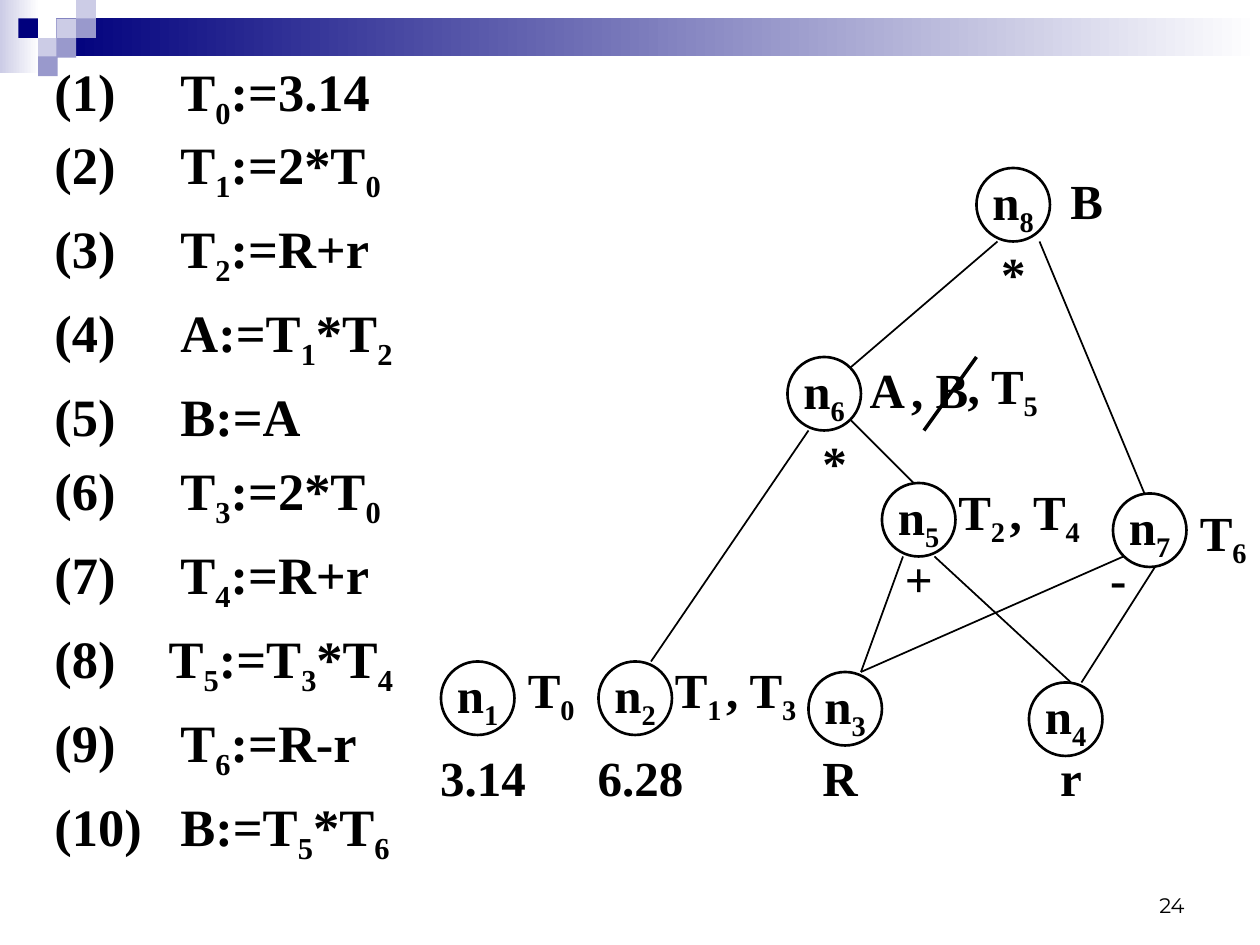
import pptx
import pptx.util
import pptx.oxml
import pptx.oxml.ns
from pptx.dml.color import RGBColor
from pptx.enum.shapes import MSO_CONNECTOR, MSO_SHAPE
from pptx.enum.text import MSO_ANCHOR, PP_ALIGN

PX = 9525  # 96 px to the inch
BLACK = RGBColor(0x00, 0x00, 0x00)
WHITE = RGBColor(0xFF, 0xFF, 0xFF)
NAVY = RGBColor(0x00, 0x00, 0x7D)
MID = RGBColor(0x99, 0x99, 0xCC)
PALE = RGBColor(0xCC, 0xCC, 0xE6)
SERIF = "Times New Roman"

# "_" makes the next character a subscript
# top, tab stop, statement
STATEMENTS = [
    (40, 96, "T_0:=3.14"),
    (96, 96, "T_1:=2*T_0"),
    (160, 96, "T_2:=R+r"),
    (224, 96, "A:=T_1*T_2"),
    (288, 96, "B:=A"),
    (344, 96, "T_3:=2*T_0"),
    (408, 96, "T_4:=R+r"),
    (472, 87, "T_5:=T_3*T_4"),
    (536, 96, "T_6:=R-r"),
    (600, 96, "B:=T_5*T_6"),
]
# left, top of each graph node, n1 to n8
NODES = [(336, 504), (456, 504), (616, 512), (784, 520),
         (672, 368), (600, 272), (848, 376), (744, 128)]
NODE_SIZE = 56
# label width: (left, top, text)
LABELS = {
    56: [(392, 512, "T_0"), (504, 512, "T_1"), (552, 512, ", T_3"),
         (720, 376, "T_2"), (768, 376, ", T_4"),
         (648, 280, "A"), (688, 280, ", B"), (736, 280, ", T_5"),
         (904, 392, "T_6"), (800, 136, "B")],
    80: [(328, 576, "3.14"), (448, 576, "6.28"), (600, 576, "R"), (776, 576, "r")],
    40: [(680, 424, "+"), (616, 336, "*"), (832, 424, "-"), (752, 192, "*")],
}
# x1, y1, x2, y2
EDGES = [
    (688, 424, 656, 512), (712, 424, 816, 520),  # n5
    (616, 328, 496, 504), (648, 320, 696, 368),  # n6
    (656, 512, 856, 424), (824, 520, 880, 432),  # n7
    (760, 184, 648, 280), (792, 184, 872, 376),  # n8
]
STRIKE = (744, 272, 704, 328)
# column, row, colour of the header squares
SQUARES = [(3, 1, PALE), (4, 0, PALE), (4, 1, MID), (2, 2, PALE),
           (1, 1, NAVY), (3, 2, MID), (2, 3, MID)]
SQUARE_STEP = 14.4
SQUARE_SIZE = 15


def box(x, y, w, h):
    return [round(v) * PX for v in (x, y, w, h)]


def add_shape(slide, kind, *bounds):
    sp = slide.shapes.add_shape(kind, *box(*bounds))
    sp.shadow.inherit = False
    sp.line.fill.background()
    return sp


def add_gradient(slide, start, *bounds):
    fill = add_shape(slide, MSO_SHAPE.RECTANGLE, *bounds).fill
    fill.gradient()
    fill.gradient_angle = 0
    for stop, color, position in zip(fill.gradient_stops, (start, WHITE), (0, 1)):
        stop.color.rgb = color
        stop.position = position


def write(sp, text, size, align=PP_ALIGN.CENTER, anchor=MSO_ANCHOR.MIDDLE,
          wrap=False, font=SERIF, bold=True):
    tf = sp.text_frame
    tf.word_wrap = wrap
    tf.vertical_anchor = anchor
    # Tight one-line labels use the whole width of their box
    tf.margin_left = tf.margin_right = pptx.util.Inches(0.1 if wrap else 0)
    tf.margin_top = tf.margin_bottom = pptx.util.Inches(0.05)
    p = tf.paragraphs[0]
    p.alignment = align
    head, *rest = text.split("_")
    pieces = [(head, False)]
    for part in rest:
        pieces += [(part[0], True), (part[1:], False)]
    for piece, lowered in pieces:
        if not piece:
            continue
        r = p.add_run()
        r.text = piece
        r.font.name = font
        r.font.size = pptx.util.Pt(size)
        r.font.bold = bold
        r.font.color.rgb = BLACK
        if lowered:
            r.font._element.set("baseline", "-25000")
    return p


def add_line(slide, ends, width):
    c = slide.shapes.add_connector(MSO_CONNECTOR.STRAIGHT, *box(*ends))
    c.line.color.rgb = BLACK
    c.line.width = pptx.util.Pt(width)
    spPr = c._element.spPr
    spPr.append(spPr.makeelement(pptx.oxml.ns.qn("a:effectLst"), {}))


def add_tab(p, position):
    pPr = p._p.get_or_add_pPr()
    tabs = pPr.makeelement(pptx.oxml.ns.qn("a:tabLst"), {})
    tabs.append(pPr.makeelement(pptx.oxml.ns.qn("a:tab"),
                                {"pos": str(position * PX), "algn": "l"}))
    pPr.append(tabs)


def main():
    prs = pptx.Presentation()
    prs.slide_width, prs.slide_height = 960 * PX, 720 * PX
    slide = prs.slides.add_slide(prs.slide_layouts[6])

    # Header band
    add_gradient(slide, PALE, 0, 0, 30, 56)
    add_gradient(slide, NAVY, 43, 14, 917, 29)
    for col, row, color in SQUARES:
        sp = add_shape(slide, MSO_SHAPE.RECTANGLE, col * SQUARE_STEP,
                       row * SQUARE_STEP, SQUARE_SIZE, SQUARE_SIZE)
        sp.fill.solid()
        sp.fill.fore_color.rgb = color

    # Page number
    sp = slide.shapes.add_textbox(*box(688, 656, 224, 48))
    write(sp, "24", 12, PP_ALIGN.RIGHT, MSO_ANCHOR.BOTTOM, True, "Montserrat", False)

    # Numbered statements
    for number, (top, tab, text) in enumerate(STATEMENTS, 1):
        sp = slide.shapes.add_textbox(*box(32, top, 304, 64))
        p = write(sp, f"({number})\t{text}", 30, PP_ALIGN.LEFT, MSO_ANCHOR.TOP, True)
        add_tab(p, tab)

    # Graph nodes
    for number, (x, y) in enumerate(NODES, 1):
        sp = add_shape(slide, MSO_SHAPE.OVAL, x, y, NODE_SIZE, NODE_SIZE)
        sp.fill.background()
        sp.line.color.rgb = BLACK
        sp.line.width = pptx.util.Pt(1.5)
        write(sp, f"n_{number}", 28)

    # Edges
    for ends in EDGES:
        add_line(slide, ends, 1)

    # Node labels, values and operators
    for width, labels in LABELS.items():
        for x, y, text in labels:
            write(slide.shapes.add_textbox(*box(x, y, width, 32)), text, 28)

    # Strike through the replaced B
    add_line(slide, STRIKE, 2)

    prs.save("out.pptx")


if __name__ == "__main__":
    main()
